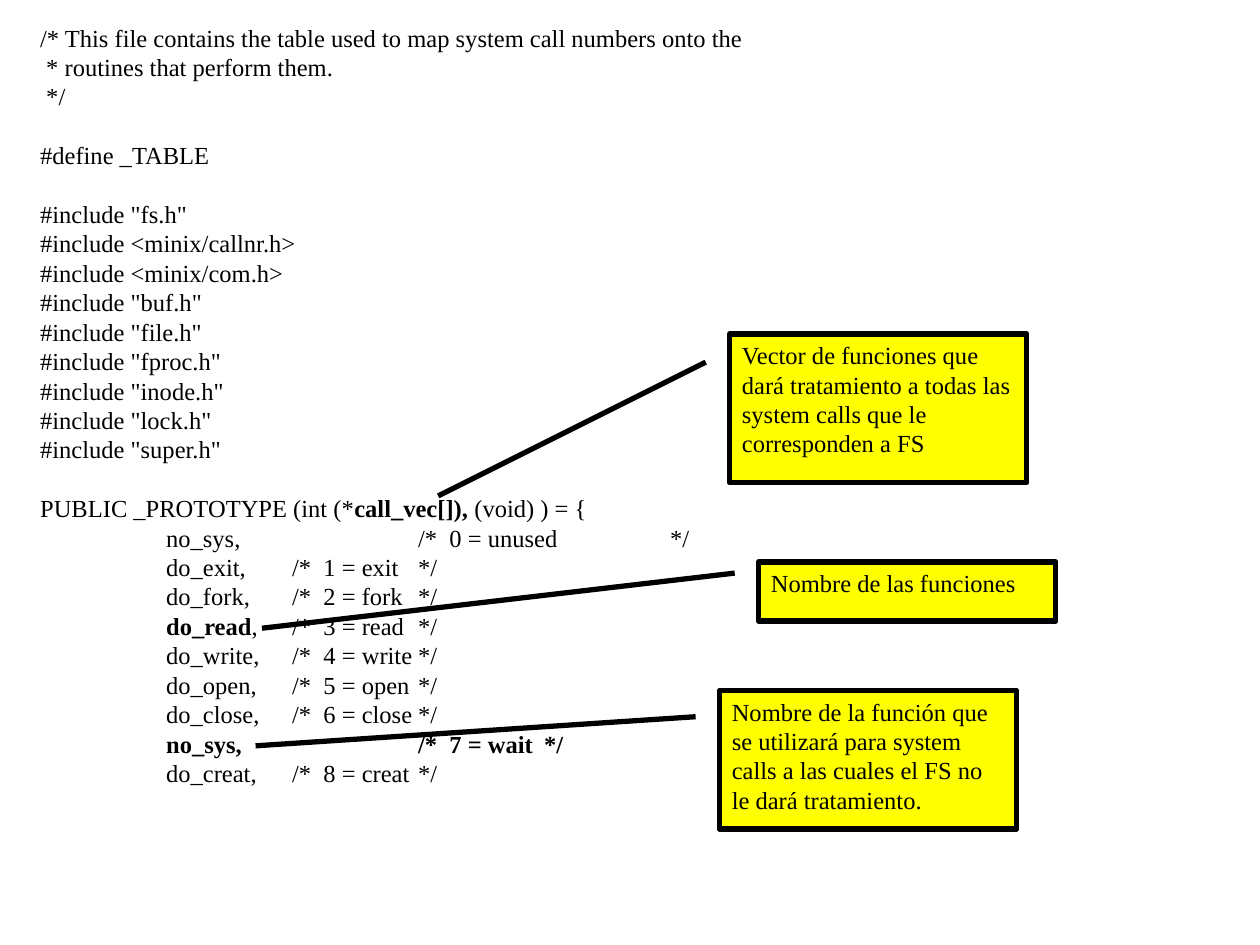
from lxml import etree
from pptx import Presentation
from pptx.dml.color import RGBColor
from pptx.enum.shapes import MSO_SHAPE
from pptx.enum.text import MSO_ANCHOR, MSO_AUTO_SIZE, PP_ALIGN
from pptx.oxml.ns import qn
from pptx.util import Inches, Pt

CALLOUT = MSO_SHAPE.LINE_CALLOUT_1
TOP = MSO_ANCHOR.TOP
LEFT = PP_ALIGN.LEFT
GROW = MSO_AUTO_SIZE.SHAPE_TO_FIT_TEXT

FONT = "Times New Roman"
BLACK = "000000"
YELLOW = "FFFF00"
LINE_HEIGHT = Pt(16.8)

# Blocks are set apart by one line; in a line, every second piece is bold.
CODE_BLOCKS = [
    [
        ["/* This file contains the table used to map system call numbers onto the"],
        [" * routines that perform them."],
        [" */"],
    ],
    [["#define _TABLE"]],
    [
        ['#include "fs.h"'],
        ["#include <minix/callnr.h>"],
        ["#include <minix/com.h>"],
        ['#include "buf.h"'],
        ['#include "file.h"'],
        ['#include "fproc.h"'],
        ['#include "inode.h"'],
        ['#include "lock.h"'],
        ['#include "super.h"'],
    ],
    [
        ["PUBLIC _PROTOTYPE (int (*", "call_vec[]), ", "(void) ) = {"],
        ["\tno_sys,\t\t/*  0 = unused\t*/"],
        ["\tdo_exit,\t/*  1 = exit\t*/"],
        ["\tdo_fork,\t/*  2 = fork\t*/"],
        ["\t", "do_read", ",\t/*  3 = read\t*/"],
        ["\tdo_write,\t/*  4 = write\t*/"],
        ["\tdo_open,\t/*  5 = open\t*/"],
        ["\tdo_close,\t/*  6 = close\t*/"],
        ["\t", "no_sys,\t\t/*  7 = wait\t*/"],
        ["\tdo_creat,\t/*  8 = creat\t*/"],
    ],
]

# Left, top, height, pointer end (y, x as shares of the box), text
NOTES = [
    (5.79, 2.65, 1.18, (1.09, -0.98),
     "Vector de funciones que dará tratamiento a todas las system calls que le "
     "corresponden a FS"),
    (6.02, 4.46, 0.47, (1.12, -1.67), "Nombre de las funciones"),
    (5.71, 5.48, 1.1, (0.4, -1.56),
     "Nombre de la función que se utilizará para system calls a las cuales el FS "
     "no le dará tratamiento."),
]
NOTE_WIDTH = 2.36
POINTER_START = (0.19, -0.08)


def rgb(hex_color):
    return RGBColor.from_string(hex_color)


def add_tab_stops(paragraph):
    """Set left tab stops one inch apart."""
    tab_list = etree.SubElement(paragraph._p.get_or_add_pPr(), qn("a:tabLst"))
    for inch in range(1, 8):
        etree.SubElement(tab_list, qn("a:tab"), pos=str(Inches(inch)), algn="l")


def write_line(paragraph, pieces):
    add_tab_stops(paragraph)
    paragraph.alignment = LEFT
    paragraph.line_spacing = LINE_HEIGHT
    for index, piece in enumerate(pieces):
        run = paragraph.add_run()
        run.text = piece
        run.font.name = FONT
        run.font.size = Pt(14)
        run.font.bold = index % 2 == 1
        run.font.color.rgb = rgb(BLACK)


def add_code(slide, blocks):
    listing = slide.shapes.add_textbox(
        Inches(0.22), Inches(0.13), Inches(5.78), Inches(6.17))
    frame = listing.text_frame
    frame.word_wrap = False
    frame.auto_size = GROW
    paragraph = frame.paragraphs[0]
    for block_index, block in enumerate(blocks):
        for line_index, pieces in enumerate(block):
            if block_index or line_index:
                paragraph = frame.add_paragraph()
            if block_index and line_index == 0:
                paragraph.space_before = LINE_HEIGHT
            write_line(paragraph, pieces)


def add_note(slide, left, top, height, pointer_end, text):
    note = slide.shapes.add_shape(
        CALLOUT, Inches(left), Inches(top), Inches(NOTE_WIDTH), Inches(height))
    for index, share in enumerate(POINTER_START + pointer_end):
        note.adjustments[index] = share
    note.shadow.inherit = False
    note.fill.solid()
    note.fill.fore_color.rgb = rgb(YELLOW)
    note.line.color.rgb = rgb(BLACK)
    note.line.width = Pt(3)
    frame = note.text_frame
    frame.word_wrap = True
    frame.vertical_anchor = TOP
    write_line(frame.paragraphs[0], [text])


def main():
    presentation = Presentation()
    presentation.slide_width = Inches(10)
    presentation.slide_height = Inches(7.5)
    slide = presentation.slides.add_slide(presentation.slide_layouts[6])
    add_code(slide, CODE_BLOCKS)
    for note in NOTES:
        add_note(slide, *note)
    presentation.save("out.pptx")


if __name__ == "__main__":
    main()
